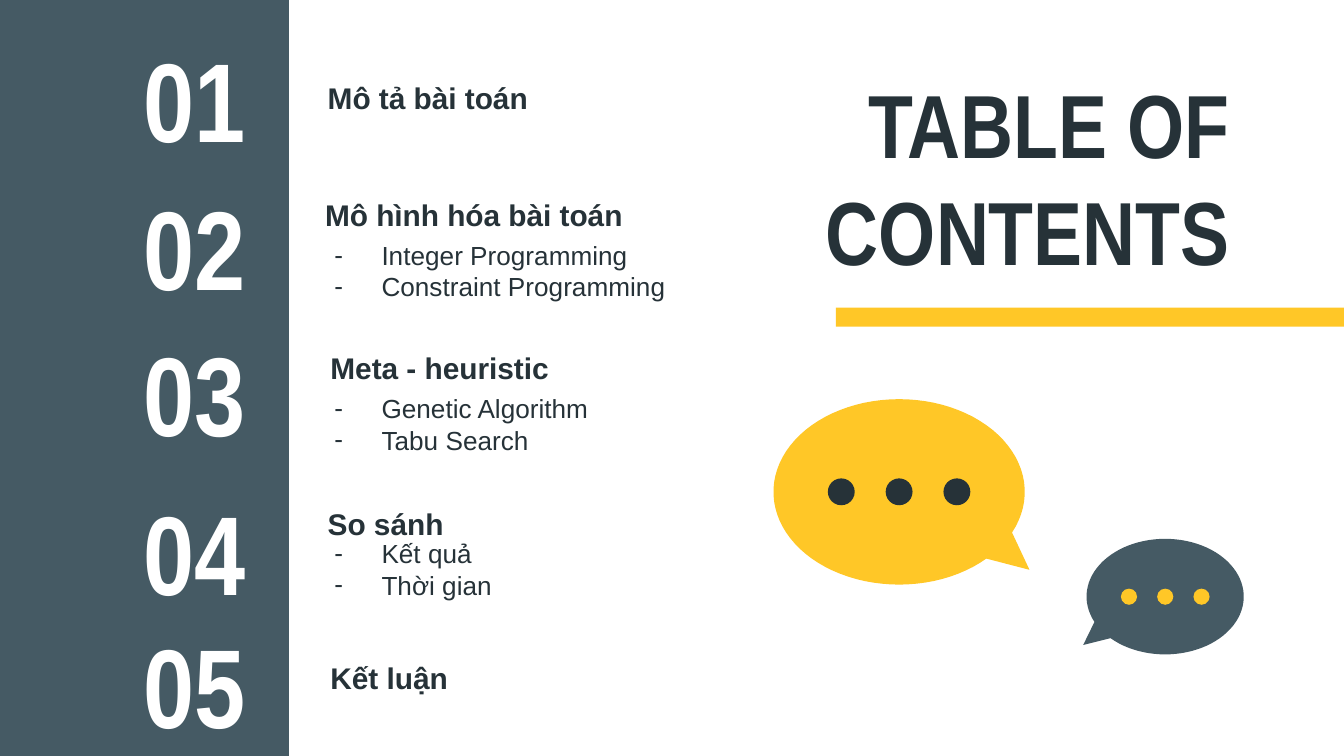
from math import cos, radians, sin

from lxml import etree
from pptx import Presentation, util as u
from pptx.dml.color import RGBColor
from pptx.enum import shapes, text
from pptx.oxml.ns import qn

WIDE = 10
HIGH = WIDE * 9 / 16
INK = {"slate": "455A64", "dark": "263238", "gold": "FFC727", "white": "FFFFFF"}

TITLE = "TABLE OF CONTENTS"
# number top, heading left, heading top, list top, heading, list items
ITEMS = [
    (0.35, 2.34, 0.53, None, "Mô tả bài toán", []),
    (1.45, 2.32, 1.40, 1.79, "Mô hình hóa bài toán",
     ["Integer Programming", "Constraint Programming"]),
    (2.54, 2.36, 2.54, 2.93, "Meta - heuristic",
     ["Genetic Algorithm", "Tabu Search"]),
    (3.72, 2.34, 3.70, 4.01, "So sánh", ["Kết quả", "Thời gian"]),
    (4.71, 2.36, 4.85, None, "Kết luận", []),
]
# centre, size, start angle of the arc, tail tip, dot size, dot gap, colours
BUBBLES = [
    ((6.69, 3.66), (1.87, 1.38), 46, (7.66, 4.24), 0.2, 0.43, "gold", "dark"),
    ((8.67, 4.44), (1.17, 0.86), 154, (8.06, 4.8), 0.12, 0.27, "slate", "gold"),
]
SWEEP, STEP = 340, 4


def paint(shape, ink):
    shape.shadow.inherit = False
    shape.fill.solid()
    shape.fill.fore_color.rgb = RGBColor.from_string(INK[ink])
    shape.line.fill.background()


def block(home, kind, box, ink):
    paint(home.add_shape(kind, *map(u.Inches, box)), ink)


def dash(para, font):
    """Give a paragraph a hanging dash bullet."""
    props = para._p.get_or_add_pPr()
    props.set("marL", str(u.Inches(0.5)))
    props.set("indent", str(u.Inches(-0.35)))
    tint = etree.SubElement(props, qn("a:buClr"))
    etree.SubElement(tint, qn("a:srgbClr")).set("val", INK["dark"])
    etree.SubElement(props, qn("a:buFont")).set("typeface", font)
    etree.SubElement(props, qn("a:buChar")).set("char", "-")


def write(home, box, lines, size=16, font="Arial", ink="dark", bold=True,
          align="LEFT", dashed=False):
    frame = home.add_textbox(*map(u.Inches, box)).text_frame
    frame.word_wrap = True
    frame.vertical_anchor = text.MSO_ANCHOR.MIDDLE
    frame.margin_left = frame.margin_right = u.Inches(0.1)
    frame.margin_top = frame.margin_bottom = u.Inches(0.1)
    for i, line in enumerate(lines):
        para = frame.add_paragraph() if i else frame.paragraphs[0]
        para.alignment = text.PP_ALIGN[align]
        if dashed:
            dash(para, font)
        run = para.add_run()
        run.text = line
        run.font.size, run.font.name, run.font.bold = u.Pt(size), font, bold
        run.font.color.rgb = RGBColor.from_string(INK[ink])


def bubble(home, mid, span, start, tip, size, gap, ink, dot):
    """Draw an oval with a tail and three dots, as one group."""
    group = home.add_group_shape().shapes
    (x, y), (w, h) = mid, span
    turns = [radians(a) for a in range(start, start + SWEEP + 1, STEP)]
    points = [(x + w / 2 * cos(a), y + h / 2 * sin(a)) for a in turns] + [tip]
    points = [(u.Inches(px), u.Inches(py)) for px, py in points]
    outline = group.build_freeform(*points[0])
    outline.add_line_segments(points[1:], close=True)
    paint(outline.convert_to_shape(), ink)
    for k in (-1, 0, 1):
        box = (x + k * gap - size / 2, y - size / 2, size, size)
        block(group, shapes.MSO_SHAPE.OVAL, box, dot)


def main():
    deck = Presentation()
    deck.slide_width, deck.slide_height = u.Inches(WIDE), u.Inches(HIGH)
    home = deck.slides.add_slide(deck.slide_layouts[6]).shapes
    rect = shapes.MSO_SHAPE.RECTANGLE

    block(home, rect, (0, -0.01, 2.15, 5.64), "slate")
    write(home, (5.31, 0.58, 3.94, 1.46), [TITLE], size=48,
          font="Arial Narrow", align="RIGHT")
    block(home, rect, (6.22, 2.29, WIDE - 6.22, 0.14), "gold")

    for n, (top, left, head, sub, name, parts) in enumerate(ITEMS, 1):
        write(home, (0.75, top, 1.4, 0.75), [f"{n:02}"], size=60,
              font="Arial Narrow", ink="white", align="CENTER")
        write(home, (left, head, 2.95, 0.39), [name])
        if parts:
            write(home, (2.24, sub, 2.95, 0.45), parts, size=14,
                  bold=False, dashed=True)

    for each in BUBBLES:
        bubble(home, *each)
    deck.save("out.pptx")


if __name__ == "__main__":
    main()
